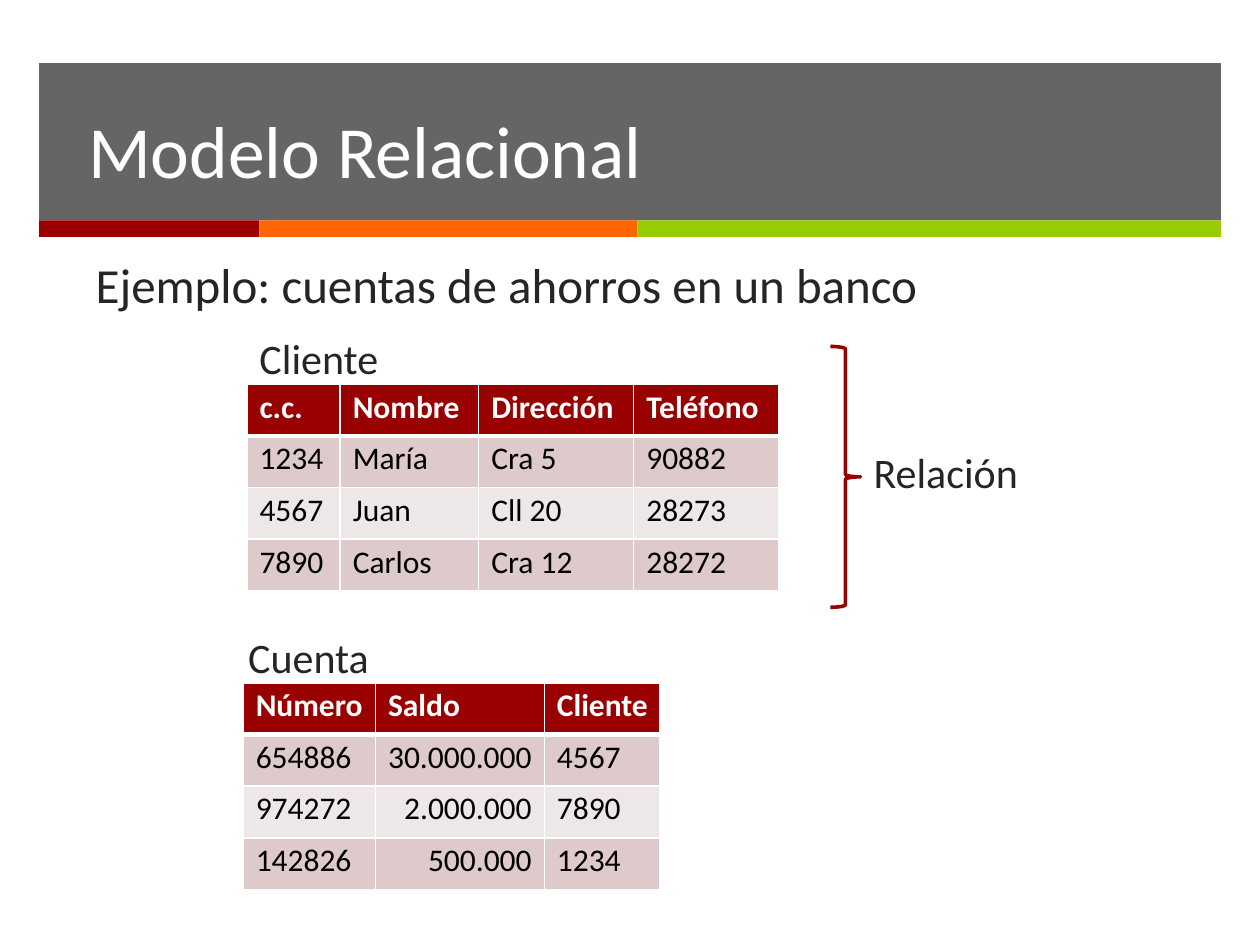
from lxml.etree import SubElement
from pptx import Presentation
from pptx.dml.color import RGBColor
from pptx.enum.shapes import MSO_SHAPE
from pptx.enum.text import MSO_ANCHOR, PP_ALIGN
from pptx.oxml import parse_xml
from pptx.oxml.ns import nsdecls, qn
from pptx.util import Inches, Pt

WHITE = RGBColor(0xFF, 0xFF, 0xFF)
BLACK = RGBColor(0, 0, 0)
DARK = RGBColor(0x25, 0x25, 0x25)
RED = RGBColor(0x99, 0, 0)
ORANGE = RGBColor(0xFF, 0x66, 0)
GREEN = RGBColor(0x99, 0xCC, 0)
BANDS = (RGBColor(0xDE, 0xCA, 0xCA), RGBColor(0xEE, 0xE7, 0xE7))
FONT = "Calibri"
ROW_HEIGHT = 0.41

TITLE = "Modelo Relacional"
STRIPES = [(1.75, RED), (3, ORANGE), (4.63, GREEN)]
# text, size, alignment, left indent in inches, space before in points
BODY = [
    ("Ejemplo: cuentas de ahorros en un banco", 28, PP_ALIGN.LEFT, 0.01, 0),
    ("Cliente", 24, PP_ALIGN.LEFT, 1.31, 11.1),
    ("Relación", 24, PP_ALIGN.RIGHT, 0, 36.3),
]
ACCOUNT_LABEL = [("Cuenta", 24, PP_ALIGN.LEFT, 0.01, 0)]
TABLES = [
    {
        "at": (1.96, 3.05),
        "columns": (0.74, 1.1, 1.23, 1.15),
        "rows": [
            ("c.c.", "Nombre", "Dirección", "Teléfono"),
            ("1234", "María", "Cra 5", "90882"),
            ("4567", "Juan", "Cll 20", "28273"),
            ("7890", "Carlos", "Cra 12", "28272"),
        ],
        "right_column": None,
    },
    {
        "at": (1.93, 5.42),
        "columns": (1.05, 1.34, 0.92),
        "rows": [
            ("Número", "Saldo", "Cliente"),
            ("654886", "30.000.000", "4567"),
            ("974272", "2.000.000", "7890"),
            ("142826", "500.000", "1234"),
        ],
        "right_column": 1,
    },
]


def set_font(span, size, color, bold=False):
    for name, value in {"name": FONT, "size": Pt(size), "bold": bold}.items():
        setattr(span.font, name, value)
    span.font.color.rgb = color


def set_margins(target, left=0, top=0, right=0, bottom=0):
    sides = {"left": left, "top": top, "right": right, "bottom": bottom}
    for side, value in sides.items():
        setattr(target, f"margin_{side}", Inches(value))


def add_title(slide):
    title = slide.shapes.title
    title.left, title.top, title.width, title.height = map(Inches, (0.31, 0.5, 9.38, 1.25))
    title.fill.solid()
    title.fill.fore_color.rgb = DARK
    color = title.fill._xPr.find(qn("a:solidFill"))[0]
    SubElement(color, qn("a:alpha")).set("val", "70000")
    frame = title.text_frame
    frame.vertical_anchor = MSO_ANCHOR.TOP
    set_margins(frame, left=0.39, top=0.33)
    para = frame.paragraphs[0]
    para.alignment = PP_ALIGN.LEFT
    span = para.add_run()
    span.text = TITLE
    set_font(span, 42, WHITE)


def add_stripes(slide):
    left = 0.31
    for width, color in STRIPES:
        stripe = slide.shapes.add_shape(
            MSO_SHAPE.RECTANGLE, Inches(left), Inches(1.75), Inches(width), Inches(0.13))
        stripe.shadow.inherit = False
        stripe.fill.solid()
        stripe.fill.fore_color.rgb = color
        stripe.line.fill.background()
        left += width


def add_text(slide, at, top_margin, lines):
    box = slide.shapes.add_textbox(*map(Inches, at))
    frame = box.text_frame
    frame.word_wrap = True
    set_margins(frame, top=top_margin)
    for index, (text, size, alignment, indent, before) in enumerate(lines):
        para = frame.add_paragraph() if index else frame.paragraphs[0]
        para.alignment = alignment
        para.space_before = Pt(before)
        para._p.get_or_add_pPr().set("marL", str(Inches(indent)))
        span = para.add_run()
        span.text = text
        set_font(span, size, DARK)


def set_borders(cell, row):
    """White grid, thicker below the header row."""
    widths = {"L": 1, "R": 1, "T": 3 if row == 1 else 1, "B": 3 if row == 0 else 1}
    for index, (side, width) in enumerate(widths.items()):
        border = parse_xml(
            f'<a:ln{side} {nsdecls("a")} w="{Pt(width)}"><a:solidFill>'
            f'<a:srgbClr val="{WHITE}"/></a:solidFill></a:ln{side}>')
        cell._tc.get_or_add_tcPr().insert(index, border)


def add_relation(slide, at, columns, rows, right_column):
    left, top = at
    frame = slide.shapes.add_table(
        len(rows), len(columns), Inches(left), Inches(top),
        Inches(sum(columns)), Inches(ROW_HEIGHT * len(rows)))
    table = frame.table
    for column, width in zip(table.columns, columns):
        column.width = Inches(width)
    for r, values in enumerate(rows):
        table.rows[r].height = Inches(ROW_HEIGHT)
        header = r == 0
        for c, value in enumerate(values):
            cell = table.cell(r, c)
            set_margins(cell, left=0.1, top=0.03, right=0.1 if c == right_column else 0)
            cell.fill.solid()
            cell.fill.fore_color.rgb = RED if header else BANDS[(r - 1) % 2]
            set_borders(cell, r)
            para = cell.text_frame.paragraphs[0]
            to_right = c == right_column and not header
            para.alignment = PP_ALIGN.RIGHT if to_right else PP_ALIGN.LEFT
            span = para.add_run()
            span.text = value
            set_font(span, 18, WHITE if header else BLACK, header)


def add_brace(slide):
    brace = slide.shapes.add_shape(
        MSO_SHAPE.RIGHT_BRACE, Inches(6.59), Inches(2.75), Inches(0.24), Inches(2.07))
    brace.shadow.inherit = False
    brace.fill.background()
    brace.line.color.rgb = RED
    brace.line.width = Pt(2.04)


def main():
    deck = Presentation()
    deck.slide_width, deck.slide_height = Inches(10), Inches(7.5)
    slide = deck.slides.add_slide(deck.slide_layouts[5])
    add_title(slide)
    add_stripes(slide)
    for relation in TABLES:
        add_relation(slide, **relation)
    add_text(slide, (1.96, 5, 0.99, 0.43), 0.01, ACCOUNT_LABEL)
    add_brace(slide)
    add_text(slide, (0.75, 1.83, 7.33, 2.1), 0.19, BODY)
    deck.save("out.pptx")


if __name__ == "__main__":
    main()
